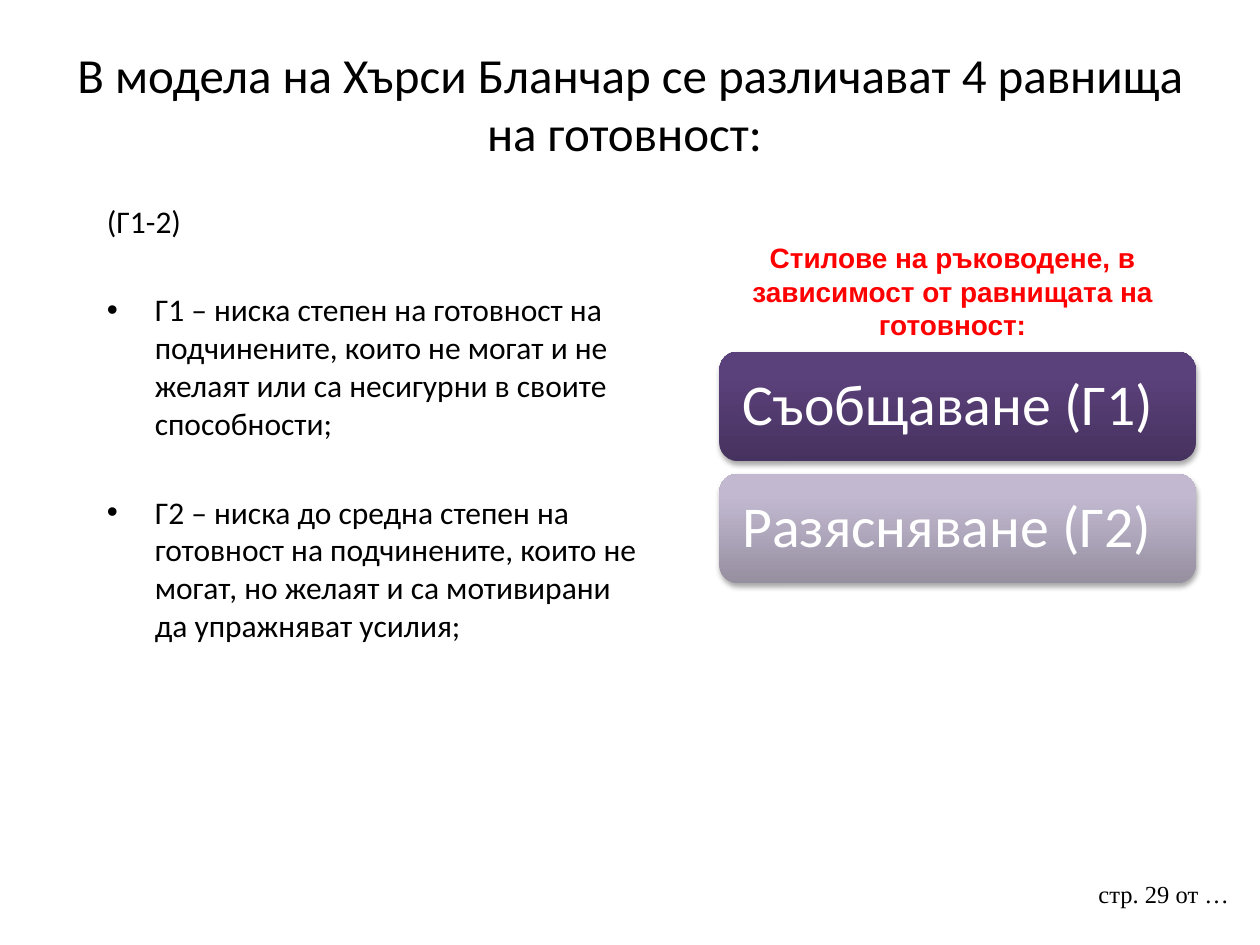
from dataclasses import dataclass

from lxml.etree import SubElement
from pptx import Presentation
from pptx.dml.color import RGBColor
from pptx.enum.shapes import MSO_SHAPE as Shape
from pptx.enum.text import MSO_ANCHOR as Anchor, PP_ALIGN as Align
from pptx.oxml import parse_xml
from pptx.oxml.ns import nsdecls, qn
from pptx.util import Inches, Pt


@dataclass(frozen=True)
class Theme:
    black: str = "000000"
    white: str = "FFFFFF"
    red: str = "FF0000"
    body_font: str = "Calibri"
    heading_font: str = "Arial"
    page_font: str = "Times New Roman"
    title_size: int = 28
    body_size: int = 18
    heading_size: int = 16
    style_size: int = 33
    page_size: int = 14


@dataclass(frozen=True)
class Style:
    label: str
    gradient: tuple[str, str, str]  # bottom to top


THEME = Theme()

READINESS_LEVELS = (
    "Г1 – ниска степен на готовност на подчинените, които не могат и не "
    "желаят или са несигурни в своите способности;",
    "Г2 – ниска до средна степен на готовност на подчинените, които не "
    "могат, но желаят и са мотивирани да упражняват усилия;",
)
STYLES = (
    Style("Съобщаване (Г1)", ("46325F", "5B417B", "5B407C")),
    Style("Разясняване (Г2)", ("968FA0", "C2B9D0", "C3BAD1")),
)
STYLE_TOP, STYLE_PITCH = 2.79, 0.97
LEVEL_GAP = 29.2
INDENT = 0.38


def write(para, text: str, *, size: int, font: str = THEME.body_font,
          color: str = THEME.black, bold: bool = False,
          align: Align = Align.LEFT) -> None:
    """Put one formatted run of text into a paragraph."""
    para.alignment = align
    span = para.add_run()
    span.text = text
    span.font.name = font
    span.font.size = Pt(size)
    span.font.bold = bold
    span.font.color.rgb = RGBColor.from_string(color)


def add_text_box(page, left: float, top: float, width: float, height: float):
    """Add a wrapping text box and return its text frame."""
    box = page.shapes.add_textbox(Inches(left), Inches(top), Inches(width), Inches(height))
    box.text_frame.word_wrap = True
    return box.text_frame


def hang(para, bullet: str = "") -> None:
    """Give a paragraph a hanging indent and, if wanted, a bullet."""
    props = para._p.get_or_add_pPr()
    props.set("marL", str(Inches(INDENT)))
    props.set("indent", str(-Inches(INDENT)))
    if bullet:
        SubElement(props, qn("a:buFont"), typeface="Arial")
        SubElement(props, qn("a:buChar"), char=bullet)
    else:
        SubElement(props, qn("a:buNone"))


def shade(box, gradient: tuple[str, str, str]) -> None:
    """Fill a shape with a vertical gradient and add a soft shadow."""
    stops = "".join(
        f'<a:gs pos="{position}"><a:srgbClr val="{color}"/></a:gs>'
        for position, color in zip((0, 80000, 100000), gradient)
    )
    fill = parse_xml(
        f'<a:gradFill rotWithShape="1" {nsdecls("a")}><a:gsLst>{stops}</a:gsLst>'
        '<a:lin ang="16200000" scaled="0"/></a:gradFill>'
    )
    shadow = parse_xml(
        f'<a:outerShdw {nsdecls("a")} blurRad="{Pt(3.1)}" dist="{Pt(1.8)}" '
        'dir="5400000" rotWithShape="0"><a:srgbClr val="000000">'
        '<a:alpha val="35000"/></a:srgbClr></a:outerShdw>'
    )
    box.line.fill.background()
    box.shadow.inherit = False
    props = box._element.spPr
    props.find(qn("a:prstGeom")).addnext(fill)
    props.find(qn("a:effectLst")).append(shadow)


def add_style(page, style: Style, top: float) -> None:
    """Draw one leadership style as a rounded box with its label."""
    box = page.shapes.add_shape(Shape.ROUNDED_RECTANGLE, Inches(5.71), Inches(top),
                                Inches(3.78), Inches(0.87))
    shade(box, style.gradient)
    frame = box.text_frame
    frame.word_wrap = True
    frame.vertical_anchor = Anchor.MIDDLE
    frame.margin_left = frame.margin_right = Inches(0.14)
    frame.margin_top = frame.margin_bottom = Inches(0.14)
    para = frame.paragraphs[0]
    para.line_spacing = 0.9
    write(para, style.label, size=THEME.style_size, color=THEME.white)


def add_levels(page) -> None:
    """List the readiness levels."""
    frame = add_text_box(page, 0.75, 1.55, 4.49, 4.41)
    heading = frame.paragraphs[0]
    hang(heading)
    write(heading, "(Г1-2)", size=THEME.body_size)
    for level in READINESS_LEVELS:
        para = frame.add_paragraph()
        hang(para, "•")
        para.space_before = Pt(LEVEL_GAP)
        write(para, level, size=THEME.body_size)


def main() -> None:
    deck = Presentation()
    deck.slide_width, deck.slide_height = Inches(10), Inches(7.5)
    page = deck.slides.add_slide(deck.slide_layouts[5])

    # Title
    title = page.shapes.title
    title.left, title.top = Inches(0.5), Inches(0.3)
    title.width, title.height = Inches(9), Inches(1.25)
    title.text_frame.vertical_anchor = Anchor.TOP
    write(title.text_frame.paragraphs[0],
          "В модела на Хърси Бланчар се различават 4 равнища на готовност: ",
          size=THEME.title_size, align=Align.CENTER)

    # Readiness levels on the left
    add_levels(page)

    # Leadership styles on the right
    heading = add_text_box(page, 5.55, 1.86, 4.02, 0.79)
    write(heading.paragraphs[0],
          "Стилове на ръководене, в зависимост от равнищата на готовност:",
          size=THEME.heading_size, font=THEME.heading_font, color=THEME.red,
          bold=True, align=Align.CENTER)
    for index, style in enumerate(STYLES):
        add_style(page, style, STYLE_TOP + index * STYLE_PITCH)

    # Page number
    footer = add_text_box(page, 8.62, 6.93, 1.3, 0.52)
    write(footer.paragraphs[0], "стр. 29 от …", size=THEME.page_size, font=THEME.page_font)

    deck.save("out.pptx")


if __name__ == "__main__":
    main()
